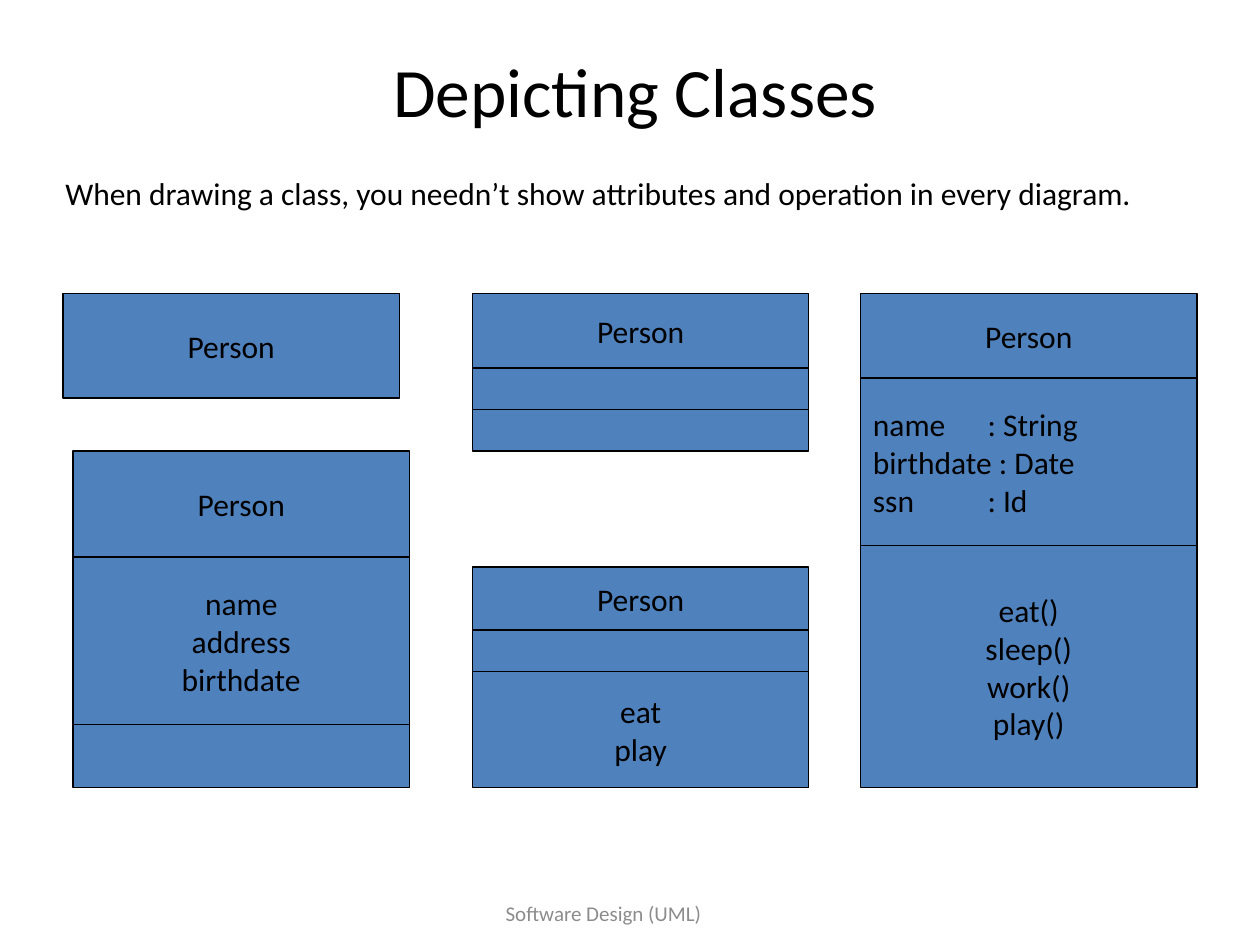
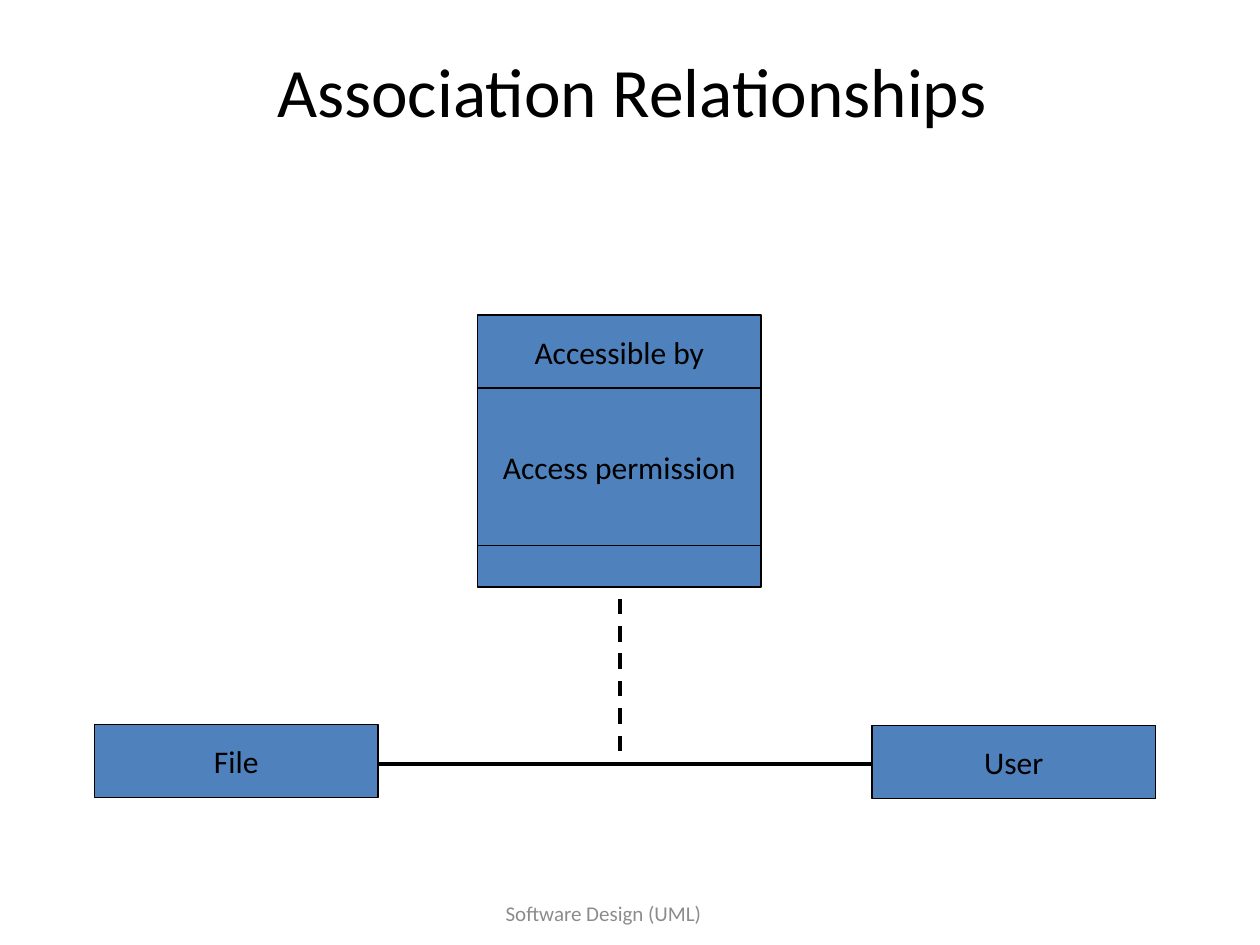
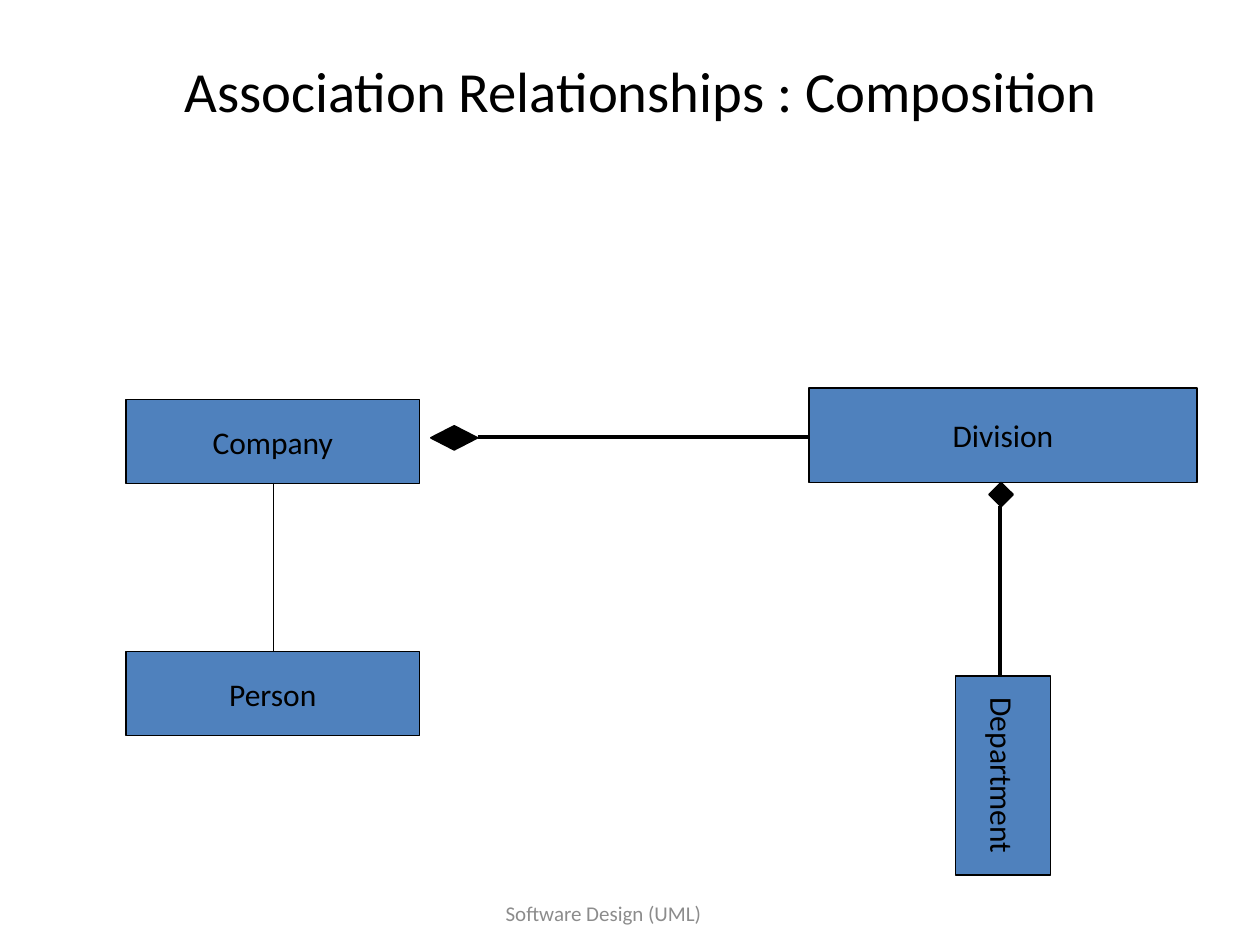
import lxml.etree
import pptx
import pptx.dml.color
import pptx.enum.dml
import pptx.enum.shapes
import pptx.enum.text
import pptx.oxml.ns
import pptx.util

Inches = pptx.util.Inches
Pt = pptx.util.Pt
Align = pptx.enum.text.PP_ALIGN
Anchor = pptx.enum.text.MSO_ANCHOR
Shape = pptx.enum.shapes.MSO_SHAPE


def color(value):
    return pptx.dml.color.RGBColor.from_string(value)


def add_child(parent, tag, **attributes):
    return lxml.etree.SubElement(parent, pptx.oxml.ns.qn(tag), attributes)


def write(frame, text, size=18, ink="000000", align=Align.CENTER, anchor=Anchor.MIDDLE, tab=None):
    frame.word_wrap = True
    frame.vertical_anchor = anchor
    for index, line in enumerate(text.split("\n")):
        para = frame.paragraphs[0] if index == 0 else frame.add_paragraph()
        para.alignment = align
        if tab:
            stops = add_child(para._p.get_or_add_pPr(), "a:tabLst")
            add_child(stops, "a:tab", pos=str(Inches(tab)), algn="l")
        span = para.add_run()
        span.text = line
        span.font.name = "Calibri"
        span.font.size = Pt(size)
        span.font.color.rgb = color(ink)


class Deck:
    fill = "4F81BD"
    ink = "000000"
    footer = "Software Design (UML)"
    footer_ink = "8C8C8C"

    def __init__(self):
        self.deck = pptx.Presentation()
        self.deck.slide_width = Inches(10)
        self.deck.slide_height = Inches(7.5)
        self.page = None

    def add_page(self, title, left=0.67, width=8.83, size=39.6):
        self.page = self.deck.slides.add_slide(self.deck.slide_layouts[6])
        self.text(2.58, 7, 4.42, 0.5, self.footer, size=12, ink=self.footer_ink)
        self.text(left, 0.42, width, 0.58, title, size=size)

    def text(self, left, top, width, height, text, **style):
        box = self.page.shapes.add_textbox(Inches(left), Inches(top), Inches(width), Inches(height))
        write(box.text_frame, text, **style)

    def shape(self, kind, left, top, width, height, fill, weight):
        shape = self.page.shapes.add_shape(
            kind, Inches(left), Inches(top), Inches(width), Inches(height))
        shape.shadow.inherit = False
        shape.fill.solid()
        shape.fill.fore_color.rgb = color(fill)
        shape.line.color.rgb = color(self.ink)
        shape.line.width = Pt(weight)
        return shape

    def box(self, left, top, width, height, text="", rotation=0, **style):
        box = self.shape(Shape.RECTANGLE, left, top, width, height, self.fill, 0.75)
        box.rotation = rotation
        if text:
            write(box.text_frame, text, **style)

    def class_box(self, left, top, width, *sections):
        for height, text, style in sections:
            self.box(left, top, width, height, text, **style)
            top += height

    def diamond(self, left, top, width, height):
        self.shape(Shape.DIAMOND, left, top, width, height, self.ink, 1)

    def line(self, start_x, start_y, end_x, end_y, weight=2.25, dashed=False):
        line = self.page.shapes.add_connector(
            pptx.enum.shapes.MSO_CONNECTOR.STRAIGHT,
            Inches(start_x), Inches(start_y), Inches(end_x), Inches(end_y))
        line.line.color.rgb = color(self.ink)
        line.line.width = Pt(weight)
        if dashed:
            line.line.dash_style = pptx.enum.dml.MSO_LINE.DASH
        add_child(line._element.spPr, "a:effectLst")


def section(height, text="", **style):
    return height, text, style


def depicting_classes(deck):
    deck.add_page("Depicting Classes", left=0.75, width=8.58)
    deck.text(0.42, 1.33, 9.13, 0.9,
              "When drawing a class, you needn’t show attributes and operation in every diagram.",
              align=Align.LEFT, anchor=Anchor.TOP)
    width = 2.67
    deck.class_box(6.83, 2.33, width,
                   section(0.67, "Person"),
                   section(1.33, "name\t: String\nbirthdate : Date\nssn\t: Id",
                           align=Align.LEFT, tab=0.91),
                   section(1.92, "eat()\nsleep()\nwork()\nplay()"))
    deck.class_box(0.5, 2.33, width, section(0.83, "Person"))
    deck.class_box(0.58, 3.58, width,
                   section(0.84, "Person"),
                   section(1.33, "name\naddress\nbirthdate"),
                   section(0.5))
    deck.class_box(3.75, 4.5, width,
                   section(0.5, "Person"), section(0.33), section(0.92, "eat\nplay"))
    deck.class_box(3.75, 2.33, width,
                   section(0.59, "Person"), section(0.33), section(0.33))


def association(deck):
    deck.add_page("Association Relationships", left=0.6)
    width = 2.25
    deck.line(3, 6.06, 7, 6.06)
    deck.box(6.92, 5.76, width, 0.58, "User")
    deck.box(0.75, 5.75, width, 0.58, "File")
    deck.line(4.92, 4.75, 4.92, 6.08, dashed=True)
    deck.class_box(3.79, 2.5, width,
                   section(0.58, "Accessible by"),
                   section(1.25, "Access permission"),
                   section(0.33))


def composition(deck):
    deck.add_page("Association Relationships : Composition", size=32.4)
    deck.box(1, 3.17, 2.33, 0.67, "Company")
    deck.line(3.79, 3.47, 6.46, 3.47)
    deck.diamond(3.42, 3.38, 0.37, 0.19)
    deck.box(6.42, 3.08, 3.08, 0.75, "Division")
    deck.line(7.94, 4.02, 7.94, 5.39)
    deck.diamond(7.85, 3.83, 0.19, 0.19)
    deck.box(7.17, 5.78, 1.58, 0.75, "Department", rotation=90)
    deck.box(1, 5.17, 2.33, 0.67, "Person")
    deck.line(2.17, 3.83, 2.17, 5.17, weight=0.75)


def main():
    deck = Deck()
    depicting_classes(deck)
    association(deck)
    composition(deck)
    deck.deck.save("out.pptx")


if __name__ == "__main__":
    main()
